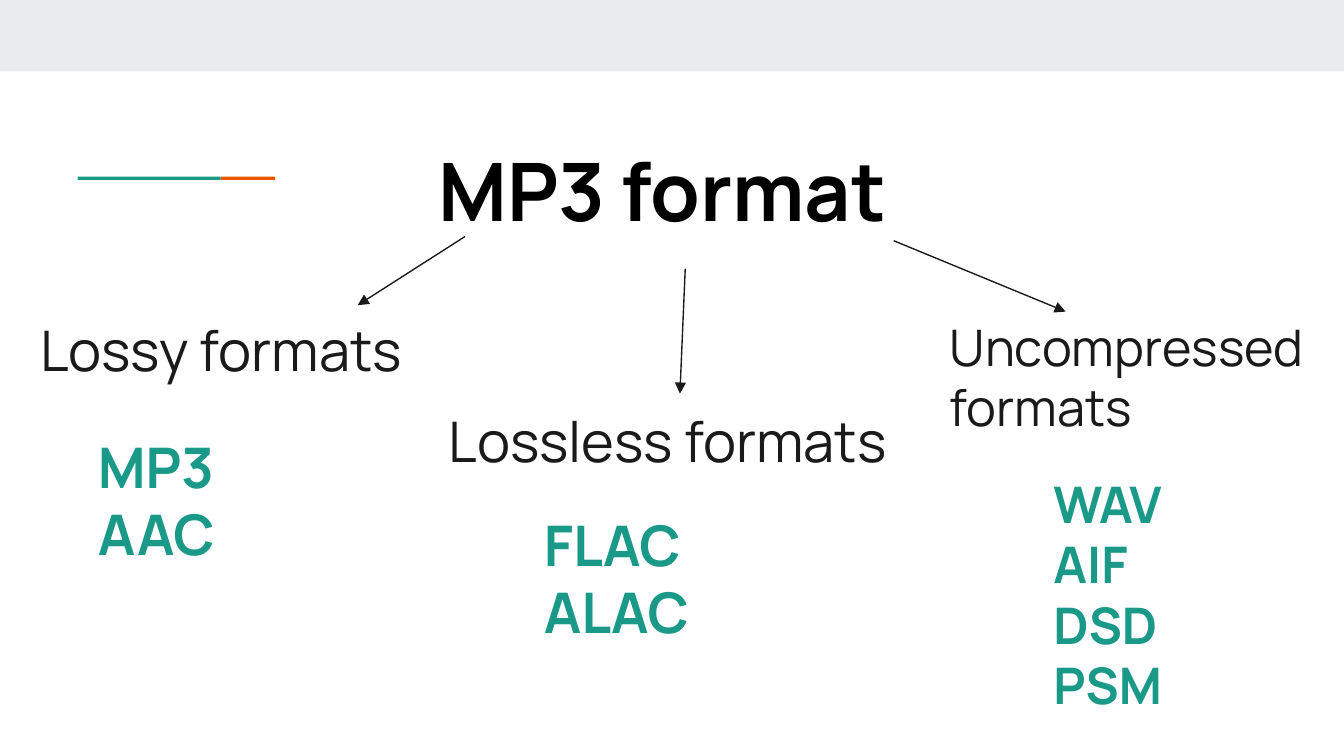
import pptx
import pptx.util
import pptx.dml.color
import pptx.enum.shapes
import pptx.enum.text
import pptx.oxml.ns
import lxml.etree

Cm = pptx.util.Cm
RGB = pptx.dml.color.RGBColor
INK = RGB(0x1A, 0x1A, 0x1A)
BLACK = RGB(0, 0, 0)
TEAL = RGB(0x1A, 0x99, 0x88)
ORANGE = RGB(0xEB, 0x56, 0x00)
PALE = RGB(0xE9, 0xED, 0xEE)


class Deck:
    font = "Manrope"
    inset = Cm(0.25)
    stroke = pptx.util.Pt(0.75)

    def __init__(self, wide, high):
        self.file = pptx.Presentation()
        self.file.slide_width = Cm(wide)
        self.file.slide_height = Cm(high)
        self.slide = self.file.slides.add_slide(self.file.slide_layouts[6])

    def bar(self, box, fill):
        kind = pptx.enum.shapes.MSO_SHAPE.RECTANGLE
        shape = self.slide.shapes.add_shape(kind, *map(Cm, box))
        shape.shadow.inherit = False
        shape.fill.solid()
        shape.fill.fore_color.rgb = fill
        shape.line.fill.background()

    def text(self, box, lines, size, color=INK, bold=False):
        frame = self.slide.shapes.add_textbox(*map(Cm, box)).text_frame
        form = {
            "word_wrap": True,
            "vertical_anchor": pptx.enum.text.MSO_ANCHOR.TOP,
            "margin_left": self.inset,
            "margin_top": self.inset,
            "margin_right": self.inset,
            "margin_bottom": self.inset,
        }
        for name, value in form.items():
            setattr(frame, name, value)
        frame.text = "\n".join(lines)
        style = {"name": self.font, "size": pptx.util.Pt(size), "bold": bold}
        for para in frame.paragraphs:
            font = para.runs[0].font
            for name, value in style.items():
                setattr(font, name, value)
            font.color.rgb = color

    def arrow(self, start, end):
        kind = pptx.enum.shapes.MSO_CONNECTOR.STRAIGHT
        line = self.slide.shapes.add_connector(kind, *map(Cm, start + end))
        line.line.color.rgb = INK
        line.line.width = self.stroke
        qn = pptx.oxml.ns.qn
        edge = line.line._get_or_add_ln()
        lxml.etree.SubElement(edge, qn("a:tailEnd"), type="triangle")
        lxml.etree.SubElement(line._element.spPr, qn("a:effectLst"))

    def save(self):
        self.file.save("out.pptx")


def main():
    deck = Deck(25.4, 14.29)
    deck.bar((0, 0, 25.4, 1.35), PALE)
    deck.bar((4.17, 3.34, 1.03, 0.06), ORANGE)
    deck.bar((1.47, 3.34, 2.7, 0.06), TEAL)

    deck.text((8.03, 2.41, 9.86, 2.67), ["MP3 format"], 43.2, BLACK, True)

    # Each branch: arrow ends, heading box, list box, text size
    tree = [
        ("Lossy formats", ["MP3", "AAC"], 30, (8.79, 4.47), (6.76, 5.77),
         (0.51, 5.72, 7.52, 1.91), (1.6, 7.92, 5.36, 6.12)),
        ("Lossless formats", ["FLAC", "ALAC"], 30, (12.95, 5.08), (12.85, 7.44),
         (8.23, 7.44, 9.27, 2.39), (10.03, 9.4, 5.36, 4.24)),
        ("Uncompressed formats", ["WAV", "AIF", "DSD", "PSM"], 27,
         (16.89, 4.55), (20.14, 5.89),
         (17.7, 5.72, 9.27, 2.39), (19.66, 8.69, 5.36, 4.93)),
    ]
    for head, names, size, start, end, top, low in tree:
        deck.arrow(start, end)
        deck.text(top, [head], size)
        deck.text(low, names, size, TEAL, True)
    deck.save()


if __name__ == "__main__":
    main()
